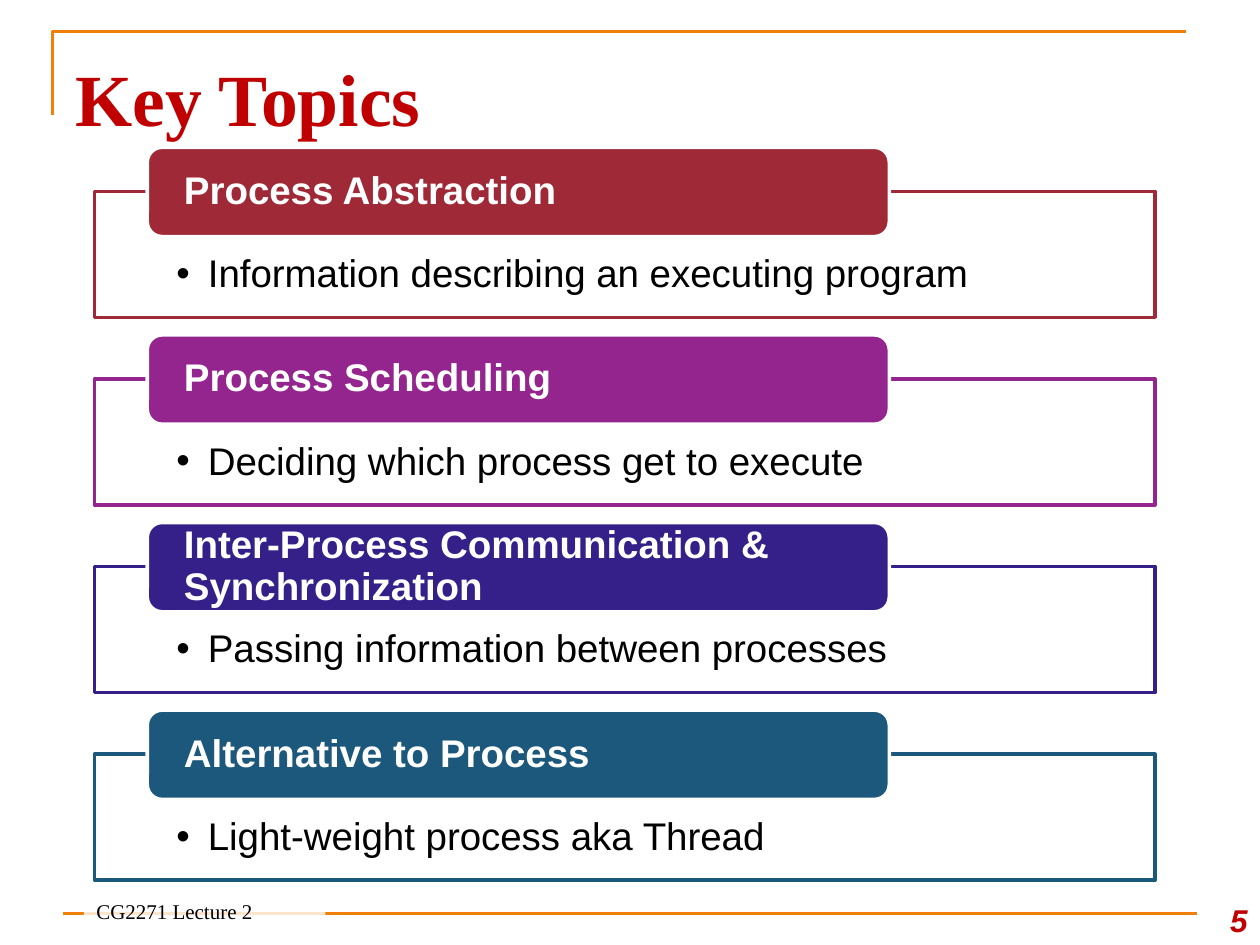
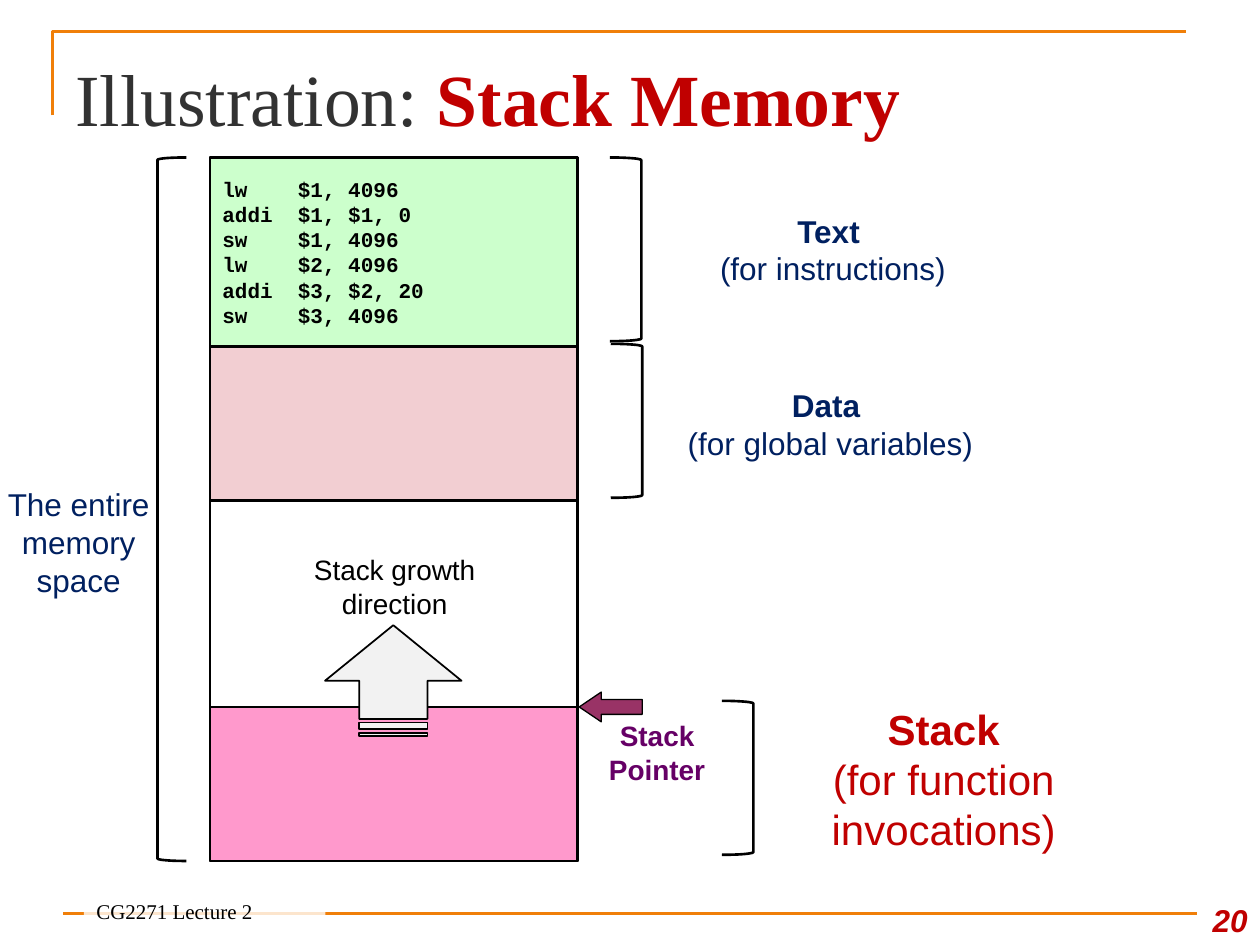
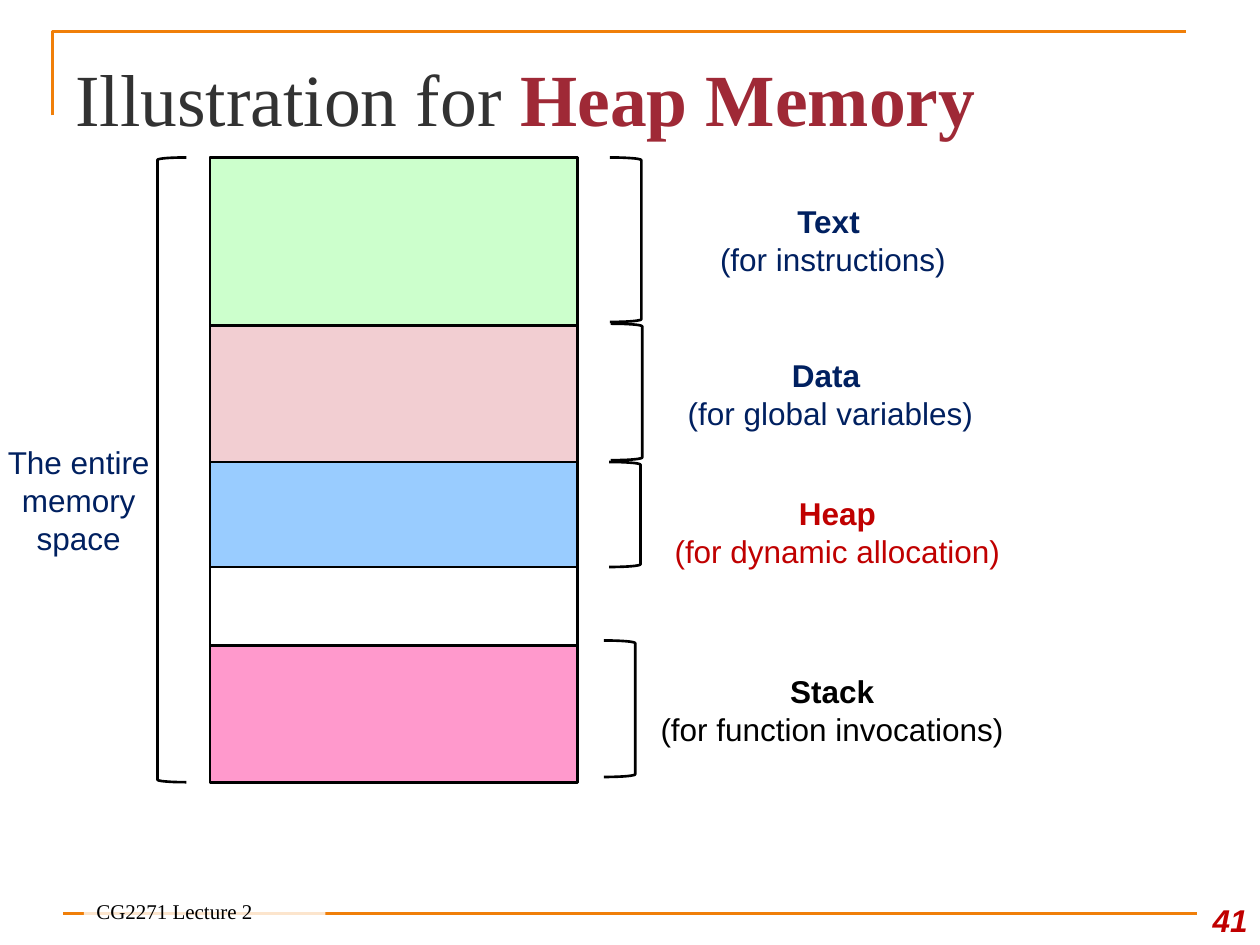
from lxml.etree import SubElement
from pptx import Presentation
from pptx.dml.color import RGBColor
from pptx.enum.shapes import MSO_CONNECTOR, MSO_SHAPE
from pptx.enum.text import MSO_ANCHOR, PP_ALIGN
from pptx.oxml.ns import qn
from pptx.util import Pt

HUE = {
    "black": "000000", "white": "FFFFFF", "orange": "F07F09",
    "red": "C00000", "gray": "323232", "navy": "002060",
    "wine": "9F2936", "plum": "94248E", "indigo": "351F88", "teal": "1B587C",
    "green": "CCFFCC", "rose": "F2CED2", "pink": "FF99CC", "sky": "99CCFF",
    "mauve": "993366", "purple": "660066", "pale": "F2F2F2",
}
TITLE = {"name": "Times New Roman", "size": Pt(42), "hue": "gray"}
BOLD = {"bold": True}
NOTE = {"name": "Times New Roman", "size": Pt(12), "hue": "black"}
PAGE = {"name": "Arial", "size": Pt(18), "hue": "red", "bold": True, "italic": True}
BODY = {"name": "Arial", "size": Pt(22), "hue": "black"}
LABEL = {"name": "Arial", "size": Pt(18), "hue": "navy"}
SMALL = {"name": "Arial", "size": Pt(16), "hue": "black"}
CODE = {"name": "Courier New", "size": Pt(12), "hue": "black", "bold": True}
LEFT, MID, RIGHT = PP_ALIGN.LEFT, PP_ALIGN.CENTER, PP_ALIGN.RIGHT


def draw(slide, kind, box, fill=None, line=None, width=1.5, alpha=None):
    """Add a preset shape, or a text box when kind is None."""
    rect = [Pt(v) for v in box]
    if kind is None:
        return slide.shapes.add_textbox(*rect)
    shape = slide.shapes.add_shape(kind, *rect)
    shape.shadow.inherit = False
    if fill:
        shape.fill.solid()
        shape.fill.fore_color.rgb = RGBColor.from_string(HUE[fill])
    else:
        shape.fill.background()
    if alpha:
        tint = shape.element.spPr.find(qn("a:solidFill"))[0]
        SubElement(tint, qn("a:alpha")).set("val", str(alpha * 1000))
    if line:
        shape.line.color.rgb = RGBColor.from_string(HUE[line])
        shape.line.width = Pt(width)
    else:
        shape.line.fill.background()
    return shape


def write(shape, lines, form, align=LEFT, anchor=MSO_ANCHOR.TOP,
          inset=(7.2, 3.6, 7.2, 3.6), space=1.0):
    """Fill a shape with lines, each a list of (text, format changes)."""
    frame = shape.text_frame
    frame.word_wrap = True
    frame.vertical_anchor = anchor
    for side, gap in zip(("left", "top", "right", "bottom"), inset):
        setattr(frame, "margin_" + side, Pt(gap))
    for i, line in enumerate(lines):
        para = frame.add_paragraph() if i else frame.paragraphs[0]
        para.alignment = align
        para.line_spacing = space
        for text, extra in line:
            run = para.add_run()
            run.text = text
            for key, val in {**form, **extra}.items():
                if key == "hue":
                    run.font.color.rgb = RGBColor.from_string(HUE[val])
                else:
                    setattr(run.font, key, val)


deck = Presentation()
deck.slide_width, deck.slide_height = Pt(720), Pt(540)

# Shared frame: corner, base line, title, number, footer
heads = [
    ("5", [("Key Topics", {"hue": "red", **BOLD})]),
    ("20", [("Illustration: ", {}), ("Stack Memory", {"hue": "red", **BOLD})]),
    ("41", [("Illustration for ", {}), ("Heap Memory", {"hue": "wine", **BOLD})]),
]
pages = []
for num, head in heads:
    slide = deck.slides.add_slide(deck.slide_layouts[6])
    pages.append(slide)
    path = slide.shapes.build_freeform(Pt(30), Pt(66))
    path.add_line_segments([(Pt(30), Pt(18)), (Pt(678), Pt(18))], close=False)
    corner = path.convert_to_shape()
    corner.shadow.inherit = False
    corner.fill.background()
    base = slide.shapes.add_connector(
        MSO_CONNECTOR.STRAIGHT, Pt(36), Pt(522), Pt(684), Pt(522))
    SubElement(base.element.spPr, qn("a:effectLst"))
    for rule in (corner, base):
        rule.line.color.rgb = RGBColor.from_string(HUE["orange"])
        rule.line.width = Pt(1.5)
    write(draw(slide, None, (36, 21.6, 648, 56)), [head], TITLE,
          inset=(7.2, 8.6, 7.2, 0))
    write(draw(slide, None, (678, 504, 42, 36)), [[(num, {})]], PAGE,
          RIGHT, MSO_ANCHOR.BOTTOM)
    foot = draw(slide, MSO_SHAPE.RECTANGLE, (48, 513.5, 138, 18), "white", alpha=80)
    write(foot, [[("CG2271 Lecture 2", {})]], NOTE, anchor=MSO_ANCHOR.BOTTOM)

# Key topics: a tab on top of an outlined box
topics = [
    ("wine", "Process Abstraction", "Information describing an executing program"),
    ("plum", "Process Scheduling", "Deciding which process get to execute"),
    ("indigo", "Inter-Process Communication & Synchronization",
     "Passing information between processes"),
    ("teal", "Alternative to Process", "Light-weight process aka Thread"),
]
for i, (hue, name, text) in enumerate(topics):
    top = 84.2 + i * 107.2
    box = draw(pages[0], MSO_SHAPE.RECTANGLE, (54, top + 25.2, 606, 72),
               "white", hue, 2, alpha=90)
    props = box.text_frame.paragraphs[0]._p.get_or_add_pPr()
    props.set("marL", str(Pt(18)))
    props.set("indent", str(Pt(-18)))
    SubElement(props, qn("a:buFont")).set("typeface", "Arial")
    SubElement(props, qn("a:buChar")).set("char", "•")
    write(box, [[(text, {})]], BODY, inset=(46.8, 36, 46.8, 12), space=0.9)
    tab = draw(pages[0], MSO_SHAPE.ROUNDED_RECTANGLE, (84.2, top, 424, 51),
               hue, "white", 2)
    write(tab, [[(name, {})]], {**BODY, "hue": "white", **BOLD},
          anchor=MSO_ANCHOR.MIDDLE, inset=(18.5, 0, 18.5, 0), space=0.9)

# Memory maps: height, side label, labels, blocks, brackets
maps = [
    (402, (271.5, 76), [
        ("Data ", "(for global variables)", (366.5, 204, 216, 76), {}),
        ("Text ", "(for instructions)", (368, 104.5, 216, 76), {}),
        ("Stack", "(for function invocations)", (430.5, 407, 217.5, 76),
         {"hue": "red", "size": Pt(24)}),
    ], [("green", 90, 108), ("rose", 198, 88), ("pink", 404, 88)],
        [(349, 196.5, 88), (348.5, 90, 105), (412.5, 400.5, 88)]),
    (357, (251.5, 68), [
        ("Data ", "(for global variables)", (366.5, 191, 216, 68), {}),
        ("Text ", "(for instructions)", (368, 103, 216, 68), {}),
        ("Stack", "(for function invocations)", (363, 371.5, 225, 68),
         {"hue": "black"}),
        ("Heap", "(for dynamic allocation)", (366, 270, 225, 68), {"hue": "red"}),
    ], [("green", 90, 96), ("rose", 186, 78), ("pink", 369, 78), ("sky", 264, 60)],
        [(349, 185, 78), (348.5, 90, 94), (345, 366, 78), (348, 264, 60)]),
]
for slide, (tall, side, labels, blocks, marks) in zip(pages[1:], maps):
    draw(slide, MSO_SHAPE.LEFT_BRACKET, (90, 90, 16.5, tall), line="black")
    write(draw(slide, None, (-6, side[0], 102, side[1])),
          [[("The entire", {})], [("memory space", {})]], LABEL,
          MID, MSO_ANCHOR.MIDDLE)
    for name, use, box, form in labels:
        label = draw(slide, MSO_SHAPE.RECTANGLE, box, "white", "white", 2)
        write(label, [[(name, BOLD)], [(use, {})]], {**LABEL, **form},
              MID, MSO_ANCHOR.MIDDLE)
    draw(slide, MSO_SHAPE.RECTANGLE, (120, 90, 210, tall), line="black")
    for hue, top, high in blocks:
        block = draw(slide, MSO_SHAPE.RECTANGLE, (120, top, 210, high), hue, "black")
        if slide is pages[1] and hue == "green":
            code = ["lw    $1, 4096", "addi  $1, $1, 0", "sw    $1, 4096",
                    "lw    $2, 4096", "addi  $3, $2, 20", "sw    $3, 4096"]
            write(block, [[(row, {})] for row in code], CODE,
                  anchor=MSO_ANCHOR.MIDDLE)
    for left, top, high in marks:
        draw(slide, MSO_SHAPE.RIGHT_BRACKET, (left, top, 18, high), line="black")

# Stack pointer and growth arrow
stack = pages[1]
point = draw(stack, MSO_SHAPE.LEFT_ARROW, (331, 395.5, 36, 17),
             "mauve", "black", 0.75)
point.adjustments[1] = 0.74
write(draw(stack, None, (324, 407, 103, 46)), [[("Stack Pointer", {})]],
      {**SMALL, "hue": "purple", **BOLD}, MID)
grow = draw(stack, MSO_SHAPE.STRIPED_RIGHT_ARROW, (193, 350, 63.5, 78),
            "pale", "black", 1)
grow.rotation = 270
write(draw(stack, None, (168, 312.5, 115, 52)),
      [[("Stack growth direction", {})]], SMALL, MID)

deck.save("out.pptx")
